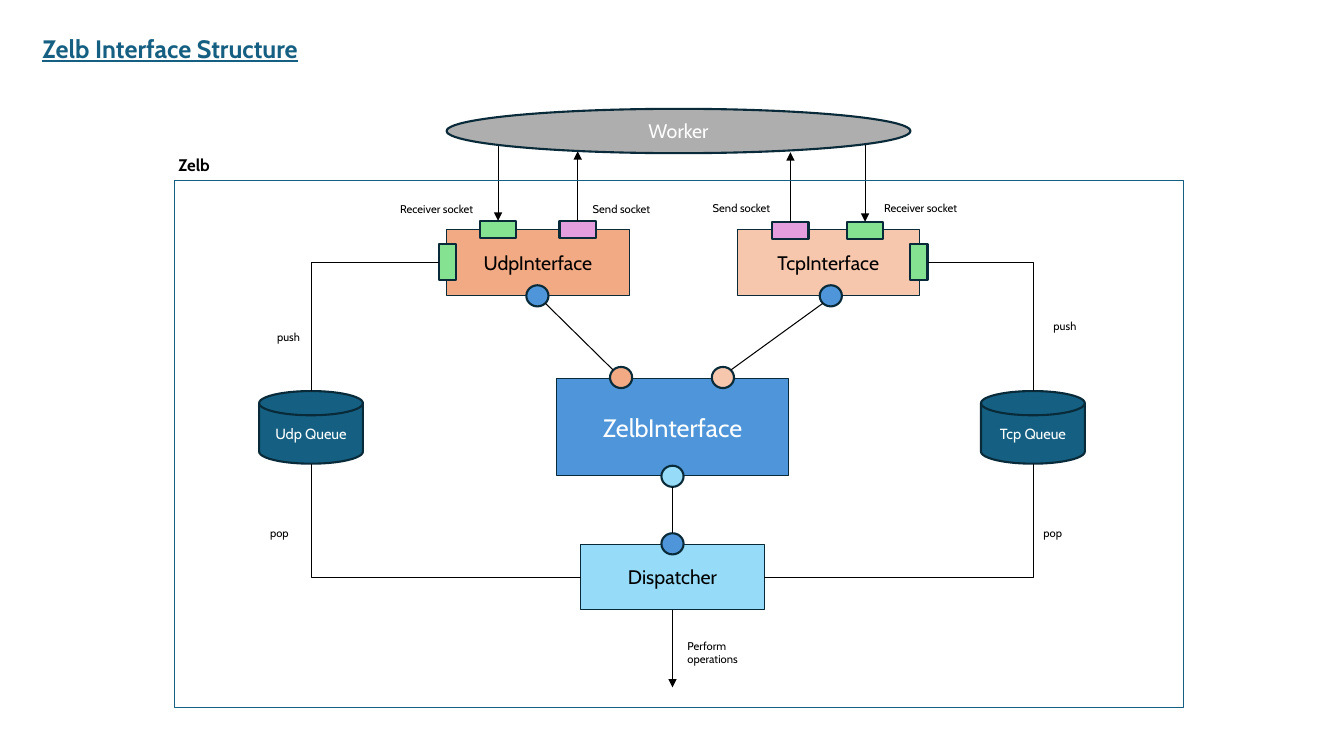
import pptx
import pptx.util
import pptx.dml.color
import pptx.enum.shapes
import pptx.enum.text
import pptx.oxml
import pptx.oxml.ns

PX = 9144  # one px is a hundredth of an inch
FONT = "Cabin"
SYSTEM = "Zelb"
BLACK, WHITE, NAVY, TEAL = "000000", "FFFFFF", "092A39", "156082"
BLUE, SKY, GREEN, PINK = "4E95D9", "96DCF8", "84E291", "E59EDD"
UDP_ORANGE, TCP_PEACH = "F2AA84", "F6C6AD"

color = pptx.dml.color.RGBColor.from_string
qn = pptx.oxml.ns.qn
Kind = pptx.enum.shapes.MSO_SHAPE
Connector = pptx.enum.shapes.MSO_CONNECTOR
Anchor = pptx.enum.text.MSO_ANCHOR
Align = pptx.enum.text.PP_ALIGN

deck = pptx.Presentation()
deck.slide_width, deck.slide_height = 1333 * PX, 750 * PX
slide = deck.slides.add_slide(deck.slide_layouts[5])


def add_block(kind, box, fill, weight=1.5, text="", size=14, ink=BLACK, edge=NAVY):
    block = slide.shapes.add_shape(kind, *(n * PX for n in box))
    block.shadow.inherit = False
    if fill:
        block.fill.solid()
        block.fill.fore_color.rgb = color(fill)
    else:
        block.fill.background()
    block.line.color.rgb = color(edge)
    block.line.width = pptx.util.Pt(weight)
    if text:
        frame = block.text_frame
        frame.text = text
        frame.vertical_anchor = Anchor.MIDDLE
        frame.paragraphs[0].alignment = Align.CENTER
        font = frame.paragraphs[0].runs[0].font
        font.name, font.size = FONT, pptx.util.Pt(size)
        font.color.rgb = color(ink)
    return block


def add_link(start, end, arrow=False, bent=False):
    kind = Connector.ELBOW if bent else Connector.STRAIGHT
    link = slide.shapes.add_connector(kind, *(n * PX for n in start + end))
    link.line.color.rgb = color(BLACK)
    link.line.width = pptx.util.Pt(0.75)
    properties = link._element.spPr
    if bent:
        properties.find(qn("a:prstGeom")).set("prst", "bentConnector2")
    if arrow:
        head = pptx.oxml.parse_xml(
            f'<a:tailEnd {pptx.oxml.ns.nsdecls("a")} type="triangle"/>')
        properties.find(qn("a:ln")).append(head)
    properties.append(pptx.oxml.parse_xml(
        f'<a:effectLst {pptx.oxml.ns.nsdecls("a")}/>'))
    return link


# Title
title = slide.shapes.title
title.left, title.top, title.width, title.height = (n * PX for n in (32, 28, 328, 40))
title.text_frame.text = f"{SYSTEM} Interface Structure"
title.text_frame.vertical_anchor = Anchor.TOP
title.text_frame.paragraphs[0].alignment = Align.LEFT
title_font = title.text_frame.paragraphs[0].runs[0].font
title_font.name, title_font.size = FONT, pptx.util.Pt(18)
title_font.bold = title_font.underline = True
title_font.color.rgb = color(TEAL)

# Central interface and dispatcher
add_block(Kind.RECTANGLE, (552, 376, 230, 96), BLUE, 0.75, f"{SYSTEM}Interface", 18, WHITE)
dispatcher = add_block(Kind.RECTANGLE, (576, 540, 182, 65), SKY, 0.75, "Dispatcher")

# Protocol sides: interface, sockets, queue and their links
# name, fill, interface x, receiver x, sender x, socket y, side socket x, queue x, side
sides = [
    ("Udp", UDP_ORANGE, 443, 476, 555, 219, 435, 257, 1),
    ("Tcp", TCP_PEACH, 731, 840, 766, 220, 903, 973, 3),
]
for name, fill, x, receiver_x, sender_x, socket_y, intake_x, queue_x, side in sides:
    add_block(Kind.RECTANGLE, (x, 228, 181, 65), fill, 0.75, f"{name}Interface")
    receiver = add_block(Kind.RECTANGLE, (receiver_x, socket_y, 36, 17), GREEN)
    sender = add_block(Kind.RECTANGLE, (sender_x, socket_y, 36, 17), PINK)
    intake = add_block(Kind.RECTANGLE, (intake_x, 242, 17, 36), GREEN)
    add_block(Kind.FLOWCHART_MAGNETIC_DISK, (queue_x, 388, 103, 72), TEAL, 1.5,
              f"{name} Queue", 10.5, WHITE)

    send = add_link((sender_x + 18, socket_y), (sender_x + 18, socket_y - 69), arrow=True)
    send.begin_connect(sender, 0)
    receive = add_link((receiver_x + 18, 144), (receiver_x + 18, socket_y), arrow=True)
    receive.end_connect(receiver, 0)

    queue_middle = queue_x + 52
    push = add_link((intake_x, 260), (queue_middle, 388), bent=True)
    push.begin_connect(intake, side)
    pop = add_link((576, 573), (queue_middle, 460), bent=True)
    pop.begin_connect(dispatcher, side)

# Worker
add_block(Kind.OVAL, (443, 108, 460, 44), "AEAEAE", 1.5, "Worker", 14, WHITE)

# Ports and the links between them
ports = [
    (605, 364, UDP_ORANGE), (522, 283, BLUE), (706, 364, TCP_PEACH),
    (813, 283, BLUE), (656, 462, SKY), (656, 529, BLUE),
]
for x, y, fill in ports:
    add_block(Kind.OVAL, (x, y, 22, 21), fill)
add_link((541, 301), (608, 367))
add_link((816, 301), (725, 367))
add_link((667, 483), (667, 529))
perform = add_link((667, 605), (667, 682), arrow=True)
perform.begin_connect(dispatcher, 2)

# System boundary
add_block(Kind.RECTANGLE, (173, 179, 1001, 523), None, 0.75, edge=TEAL)

# Labels
labels = [
    ("Receiver socket", 387, 196, 98, 24, 8),
    ("Send socket", 578, 196, 81, 24, 8),
    ("Send socket", 697, 195, 81, 24, 8),
    ("Receiver socket", 867, 195, 98, 24, 8),
    ("push", 265, 323, 51, 24, 8),
    ("push", 1035, 312, 51, 24, 8),
    ("pop", 258, 517, 51, 24, 8),
    ("pop", 1025, 517, 51, 24, 8),
    ("Perform operations", 672, 629, 98, 37, 8),
    (SYSTEM, 167, 149, 98, 30, 12),
]
for text, x, y, width, height, size in labels:
    label = slide.shapes.add_textbox(x * PX, y * PX, width * PX, height * PX)
    label.text_frame.word_wrap = True
    label.text_frame.auto_size = pptx.enum.text.MSO_AUTO_SIZE.SHAPE_TO_FIT_TEXT
    label.text_frame.text = text
    font = label.text_frame.paragraphs[0].runs[0].font
    font.name, font.size = FONT, pptx.util.Pt(size)
    font.bold = text == SYSTEM
    font.color.rgb = color(BLACK)

deck.save("out.pptx")
